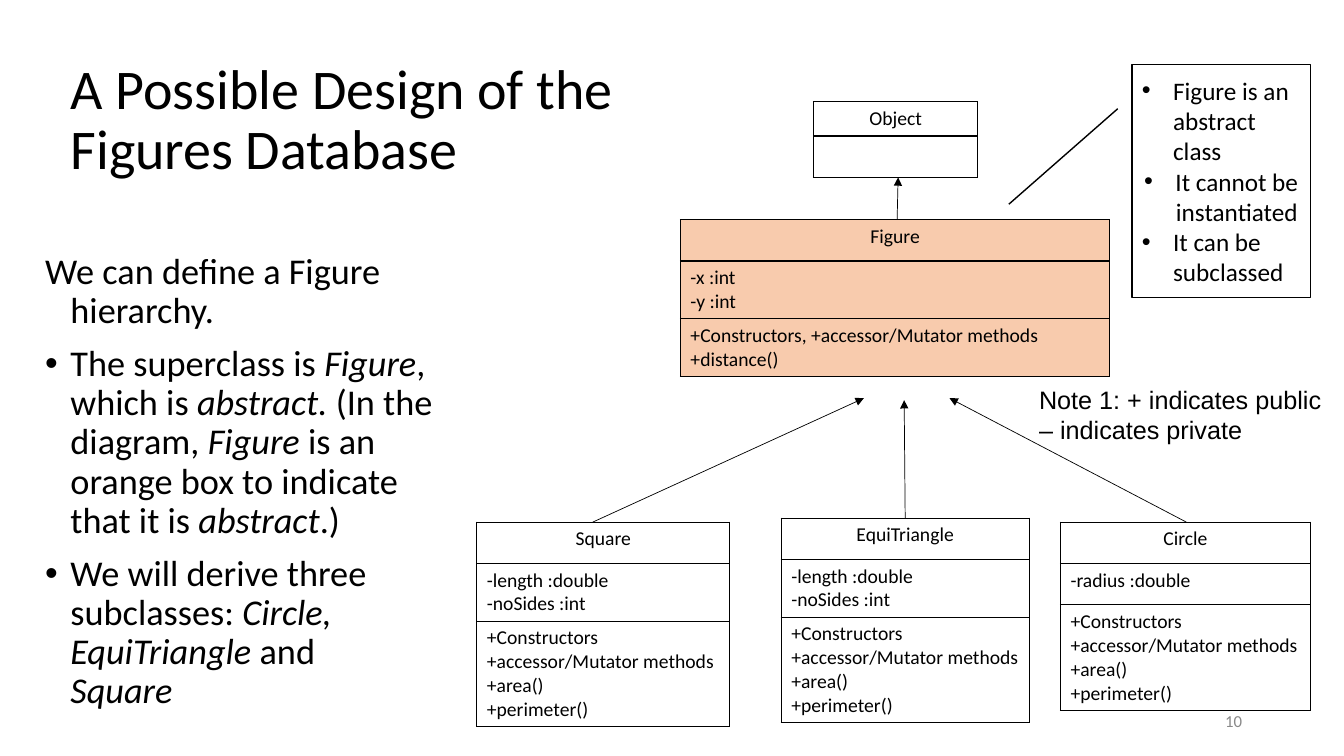
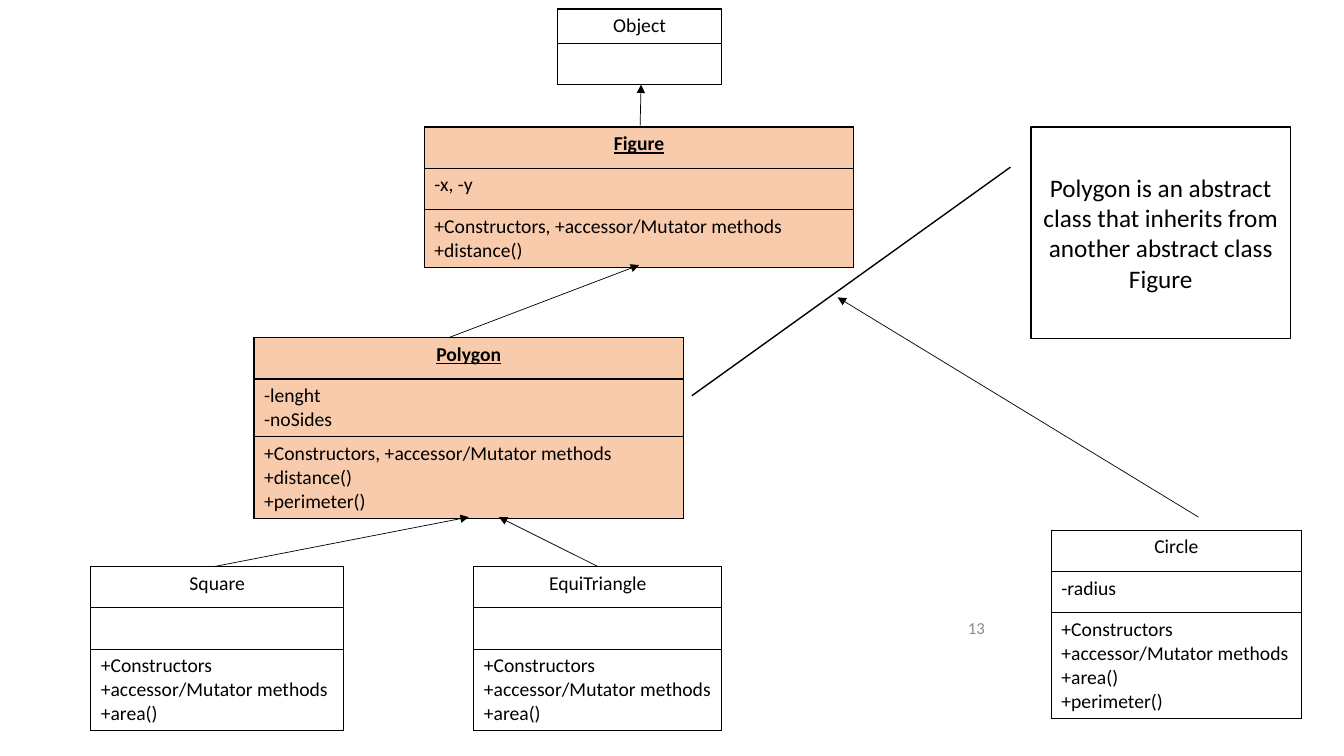
from lxml.etree import SubElement
from pptx import Presentation
from pptx.dml.color import RGBColor as Rgb
from pptx.enum.shapes import MSO_CONNECTOR as Connector, MSO_SHAPE as Shape
from pptx.enum.text import MSO_ANCHOR as Anchor, PP_ALIGN as Align
from pptx.oxml.ns import qn
from pptx.util import Inches, Pt

COLORS = {"ink": "000000", "paper": "FFFFFF", "abstract": "F8CBAD", "number": "898989"}
CELL = Inches(0.1)
COLUMNS, ROWS = 133.33, 75
ROW_MIN, ROW_PAD, ROW_LINE = 4.1, 1, 2.37

ROOT_METHODS = "+Constructors, +accessor/Mutator methods\n+distance()"
POLYGON_METHODS = ROOT_METHODS + "\n+perimeter()"
AREA_METHODS = "+Constructors\n+accessor/Mutator methods\n+area()"
SHAPE_METHODS = AREA_METHODS + "\n+perimeter()"
SIDE_FIELDS = "-length :double\n-noSides :int"


def grid(*lengths):
    return [int(length * CELL) for length in lengths]


def color(name):
    return Rgb.from_string(COLORS[name])


class Diagram:
    def __init__(self):
        self.deck = Presentation()
        self.deck.slide_width, self.deck.slide_height = grid(COLUMNS, ROWS)
        self.page = None

    def add_page(self, title=None):
        layout = self.deck.slide_layouts[5 if title else 6]
        self.page = self.deck.slides.add_slide(layout)
        if title:
            box = self.page.shapes.title
            box.left, box.top, box.width, box.height = grid(6, 4.8, 64, 14.5)
            box.text_frame.text = title
            box.text_frame.vertical_anchor = Anchor.MIDDLE
            para = box.text_frame.paragraphs[0]
            para.line_spacing = 0.9
            self.style(para, 40, align=Align.LEFT)

    def style(self, para, size, ink="ink", font="Calibri", align=Align.LEFT):
        para.alignment = align
        for span in para.runs:
            span.font.size = Pt(size)
            span.font.name = font
            span.font.color.rgb = color(ink)

    def indent(self, para, inches, bullet):
        properties = para._p.get_or_add_pPr()
        properties.set("marL", str(Inches(inches)))
        properties.set("indent", str(-Inches(inches)))
        if bullet:
            SubElement(properties, qn("a:buFont")).set("typeface", "Arial")
            SubElement(properties, qn("a:buChar")).set("char", "•")

    def text(self, area, words, size, anchor=Anchor.TOP, **look):
        box = self.page.shapes.add_textbox(*grid(*area))
        frame = box.text_frame
        frame.word_wrap = True
        frame.vertical_anchor = anchor
        frame.text = words
        for para in frame.paragraphs:
            self.style(para, size, **look)
        return frame

    def number(self, left, top, value):
        self.text((left, top, 30, 4), value, 12, Anchor.MIDDLE, ink="number", align=Align.RIGHT)

    def body(self, area, items):
        frame = self.text(area, "", 25.9)
        for index, item in enumerate(items):
            para = frame.add_paragraph() if index else frame.paragraphs[0]
            self.indent(para, 0.25, bullet=index > 0)
            para.line_spacing = 0.9
            if index:
                para.space_before = Pt(10)
            for part, phrase in enumerate(item.split("*")):
                for row, line in enumerate(phrase.split("\n")):
                    if row:
                        para.add_line_break()
                    if line:
                        span = para.add_run()
                        span.text = line
                        span.font.italic = part % 2 == 1
            self.style(para, 25.9)

    def border(self, cell):
        properties = cell._tc.get_or_add_tcPr()
        for side in ("lnL", "lnR", "lnT", "lnB"):
            line = SubElement(properties, qn(f"a:{side}"), w=str(Pt(1)))
            fill = SubElement(line, qn("a:solidFill"))
            SubElement(fill, qn("a:srgbClr"), val=COLORS["ink"])

    def uml_class(self, left, top, width, *sections, head=ROW_MIN, fill=None, strong=False):
        heights = [head] + [
            max(ROW_MIN, ROW_PAD + ROW_LINE * len(section.split("\n"))) for section in sections[1:]
        ]
        area = grid(left, top, width, sum(heights))
        table = self.page.shapes.add_table(len(sections), 1, *area).table
        table.first_row = table.horz_banding = False
        for index, section in enumerate(sections):
            table.rows[index].height = grid(heights[index])[0]
            cell = table.cell(index, 0)
            self.border(cell)
            if fill:
                cell.fill.solid()
                cell.fill.fore_color.rgb = color(fill)
            else:
                cell.fill.background()
            cell.text = section
            for para in cell.text_frame.paragraphs:
                self.style(para, 14, align=Align.LEFT if index else Align.CENTER)
        if strong:
            font = table.cell(0, 0).text_frame.paragraphs[0].runs[0].font
            font.bold = font.underline = True

    def arrow(self, start, end):
        line = self.page.shapes.add_connector(Connector.STRAIGHT, *grid(*start, *end))
        line.line.color.rgb = color("ink")
        line.line.width = Pt(0.5)
        SubElement(line.line._get_or_add_ln(), qn("a:tailEnd"), type="triangle")
        SubElement(line._element.spPr, qn("a:effectLst"))

    def callout(self, area, pointer, words, aligns, bullets=False):
        box = self.page.shapes.add_shape(Shape.LINE_CALLOUT_1, *grid(*area))
        box.shadow.inherit = False
        for index, value in enumerate(pointer):
            box.adjustments[index] = value
        box.fill.solid()
        box.fill.fore_color.rgb = color("paper")
        box.line.color.rgb = color("ink")
        box.line.width = Pt(1)
        frame = box.text_frame
        frame.word_wrap = True
        frame.vertical_anchor = Anchor.MIDDLE
        frame.text = words
        for para, align in zip(frame.paragraphs, aligns):
            if bullets:
                self.indent(para, 0.31, bullet=True)
            self.style(para, 18, align=align)


def build_design(diagram):
    diagram.add_page("A Possible Design of the Figures Database")
    diagram.body(
        (3.5, 24.6, 42.2, 47.6),
        [
            "We can define a Figure\nhierarchy.",
            "The superclass is *Figure*,\nwhich is *abstract. *(In the diagram, *Figure *is an "
            "orange box to indicate\nthat it is *abstract*.)",
            "We will derive three\nsubclasses: *Circle, EquiTriangle* and\n*Square*",
        ],
    )
    diagram.number(94.2, 69.5, "10")
    diagram.uml_class(80.7, 10.1, 16.3, "Object", "", head=3.4)
    diagram.uml_class(67.5, 21.8, 42.6, "Figure", "-x :int\n-y :int", ROOT_METHODS, fill="abstract")
    diagram.uml_class(47.3, 51.8, 25.1, "Square", SIDE_FIELDS, SHAPE_METHODS)
    diagram.uml_class(77.5, 51.4, 24.6, "EquiTriangle", SIDE_FIELDS, SHAPE_METHODS)
    diagram.uml_class(105.2, 51.8, 24.8, "Circle", "-radius :double", SHAPE_METHODS)
    for start, end in (
        ((58.8, 51.8), (85.7, 39.5)),
        ((89.8, 51.4), (89.7, 39.7)),
        ((117.7, 51.8), (94.2, 39.5)),
        ((89, 21.8), (89.1, 17.6)),
    ):
        diagram.arrow(start, end)
    diagram.callout(
        (112.3, 6.4, 17.7, 23.1),
        (0.19, -0.08, 0.6, -0.69),
        "Figure is an abstract class\nIt cannot be instantiated\nIt can be subclassed",
        (Align.LEFT, Align.CENTER, Align.LEFT),
        bullets=True,
    )
    note = "Note 1: + indicates public\n– indicates private"
    diagram.text((102.1, 37.6, 30.4, 7.1), note, 18, font="Arial")


def build_hierarchy(diagram):
    diagram.add_page()
    diagram.number(68.7, 60.3, "13")
    diagram.uml_class(55.3, 0.9, 16.3, "Object", "", head=3.4)
    for left, top, name, fields, methods in (
        (42.1, 12.6, "Figure", "-x, -y", ROOT_METHODS),
        (25.2, 33.5, "Polygon", "-lenght\n-noSides", POLYGON_METHODS),
    ):
        diagram.uml_class(left, top, 42.6, name, fields, methods, fill="abstract", strong=True)
    diagram.uml_class(9, 56.2, 25.1, "Square", "", AREA_METHODS)
    diagram.uml_class(47, 56.2, 24.6, "EquiTriangle", "", AREA_METHODS)
    diagram.uml_class(104.3, 52.6, 24.8, "Circle", "-radius", SHAPE_METHODS)
    for start, end in (
        ((118.9, 51.3), (83.1, 29.5)),
        ((63.5, 12.6), (63.6, 8.4)),
        ((44.5, 33.5), (63.4, 26.3)),
        ((21.3, 56.2), (46.5, 51.3)),
        ((59.3, 56.2), (49.5, 51.3)),
    ):
        diagram.arrow(start, end)
    diagram.callout(
        (102.3, 12.6, 25.7, 21),
        (0.19, -0.08, 1.27, -1.31),
        "Polygon is an abstract class that inherits from another abstract class Figure",
        (Align.CENTER,),
    )


def main():
    diagram = Diagram()
    build_design(diagram)
    build_hierarchy(diagram)
    diagram.deck.save("out.pptx")


if __name__ == "__main__":
    main()
